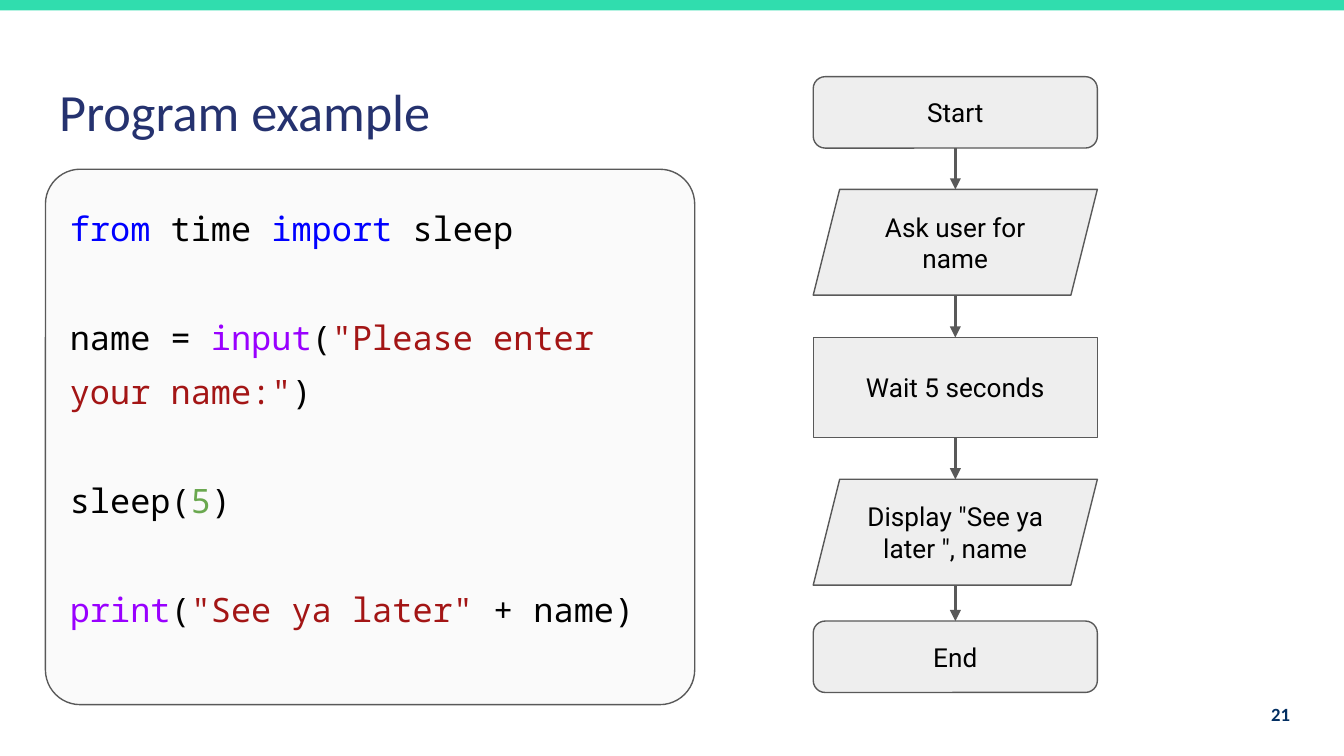
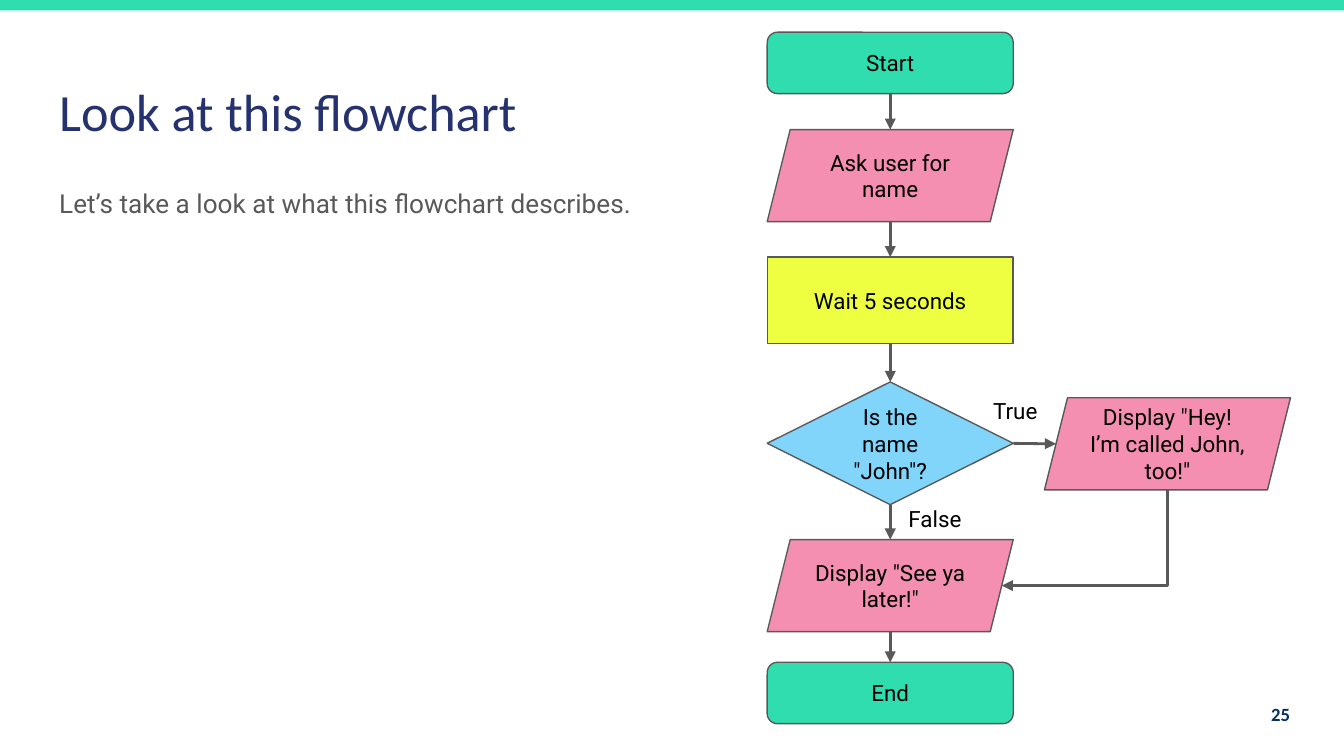
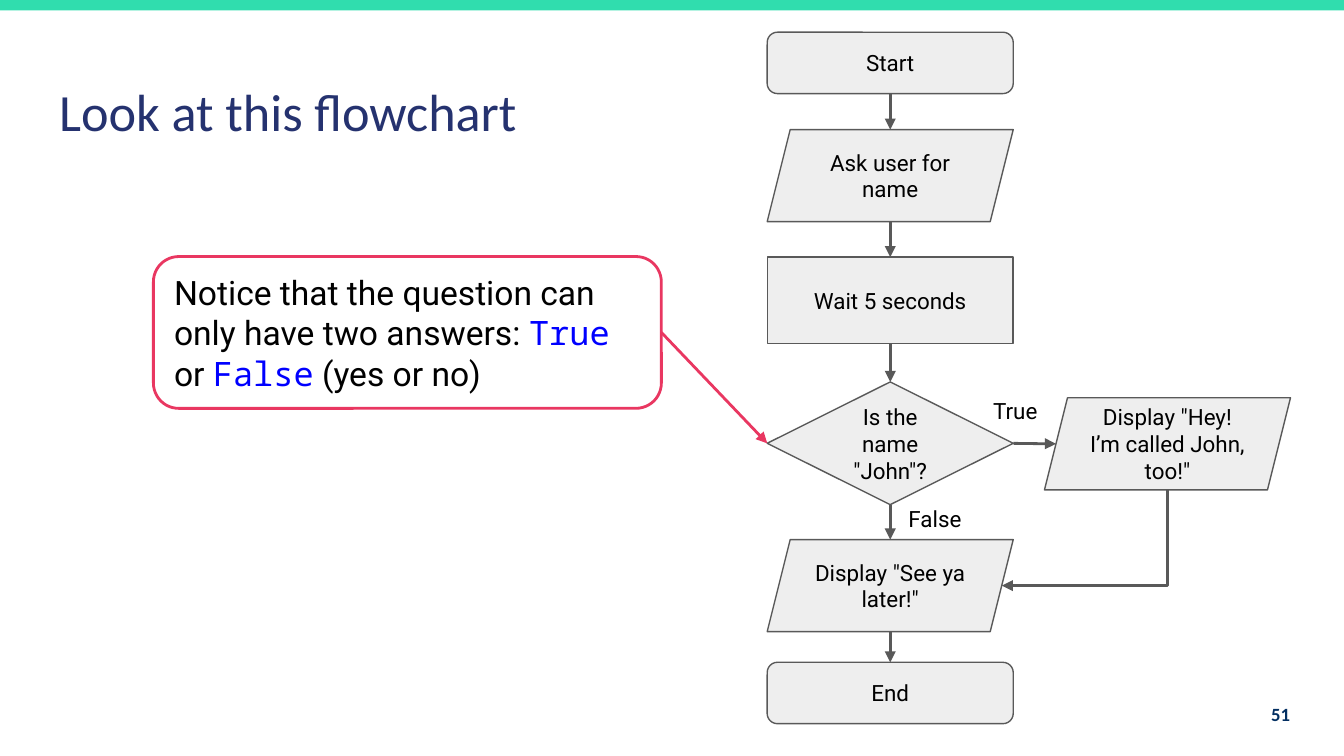
from dataclasses import dataclass
from typing import Optional

from pptx import Presentation
from pptx.dml.color import RGBColor
from pptx.enum.shapes import MSO_CONNECTOR as Connector, MSO_SHAPE as Preset
from pptx.enum.text import MSO_ANCHOR as Anchor, PP_ALIGN as Align
from pptx.oxml.ns import qn
from pptx.oxml.xmlchemy import OxmlElement
from pptx.util import Cm, Pt

COLORS = {
    "band": "30DDAE", "title": "25326F", "number": "032F62", "body": "595959",
    "outline": "595959", "black": "000000", "white": "FFFFFF", "grey": "EEEEEE",
    "panel": "FAFAFA", "pink": "F48FB1", "yellow": "EEFF41", "blue": "81D4FA",
    "callout": "E93761", "keyword": "0000FF", "function": "9900FF",
    "string": "A31515", "value": "6AA84F",
}
HEADING, TEXT, CODE = "Calibri", "Roboto", "Noto Sans Mono"
SLIDE_WIDTH, SLIDE_HEIGHT = 25.4, 14.29
SLANT = 0.25


@dataclass(frozen=True)
class Box:
    left: float
    top: float
    width: float
    height: float

    def lengths(self) -> tuple:
        return Cm(self.left), Cm(self.top), Cm(self.width), Cm(self.height)


@dataclass(frozen=True)
class Span:
    text: str
    color: str = "black"
    font: str = TEXT


@dataclass(frozen=True)
class Step:
    role: str
    text: str
    top: float
    left: Optional[float] = None


@dataclass(frozen=True)
class Flowchart:
    left: float
    width: float
    size: int
    heights: dict
    steps: tuple


PRESETS = {
    "terminal": Preset.ROUNDED_RECTANGLE, "data": Preset.PARALLELOGRAM,
    "process": Preset.RECTANGLE, "decision": Preset.DIAMOND,
}
BRIGHT = {"terminal": "band", "data": "pink", "process": "yellow", "decision": "blue"}
PLAIN = dict.fromkeys(PRESETS, "grey")

PROGRAM_CHART = Flowchart(
    15.37, 5.37, 14, {"terminal": 1.35, "data": 2.0, "process": 1.89},
    (Step("terminal", "Start", 1.45),
     Step("data", "Ask user for name", 3.58),
     Step("process", "Wait 5 seconds", 6.38),
     Step("data", 'Display "See ya later ", name', 9.06),
     Step("terminal", "End", 11.74)))

BRANCH_CHART = Flowchart(
    14.5, 4.65, 12, {"terminal": 1.16, "data": 1.74, "process": 1.63, "decision": 2.32},
    (Step("terminal", "Start", 0.61),
     Step("data", "Ask user for name", 2.45),
     Step("process", "Wait 5 seconds", 4.86),
     Step("decision", 'Is the name "John"?', 7.22),
     Step("data", 'Display "See ya later!"', 10.2),
     Step("terminal", "End", 12.52)))
TRUE_STEP = Step("data", 'Display "Hey! I’m called John, too!"', 7.52, 19.74)

CODE_LINES = (
    (Span("from", "keyword", CODE), Span(" time ", font=CODE),
     Span("import", "keyword", CODE), Span(" sleep", font=CODE)),
    (Span("name = ", font=CODE), Span("input", "function", CODE), Span("(", font=CODE),
     Span('"Please enter your name:"', "string", CODE), Span(")", font=CODE)),
    (Span("sleep(", font=CODE), Span("5", "value", CODE), Span(")", font=CODE)),
    (Span("print", "function", CODE), Span("(", font=CODE),
     Span('"See ya later"', "string", CODE), Span(" + name)", font=CODE)),
)


# Text and shapes
def rgb(name: str) -> RGBColor:
    return RGBColor.from_string(COLORS[name])


def write(paragraph, spans, size: int, bold: bool = False) -> None:
    for span in spans:
        run = paragraph.add_run()
        run.text = span.text
        run.font.name = span.font
        run.font.size = Pt(size)
        run.font.bold = bold
        run.font.color.rgb = rgb(span.color)


def prepare(text_frame, anchor=Anchor.TOP) -> None:
    text_frame.word_wrap = True
    text_frame.vertical_anchor = anchor
    for side in ("left", "top", "right", "bottom"):
        setattr(text_frame, f"margin_{side}", Cm(0.25))


def add_text(slide, box: Box, spans, size: int, bold=False, align=Align.LEFT,
             anchor=Anchor.TOP):
    text_frame = slide.shapes.add_textbox(*box.lengths()).text_frame
    prepare(text_frame, anchor)
    paragraph = text_frame.paragraphs[0]
    paragraph.alignment = align
    write(paragraph, spans, size, bold)
    return text_frame


def add_shape(slide, preset, box: Box, fill: str, line: Optional[str] = "outline",
              weight: float = 0.75, adjustment: Optional[float] = None):
    shape = slide.shapes.add_shape(preset, *box.lengths())
    shape.shadow.inherit = False
    shape.fill.solid()
    shape.fill.fore_color.rgb = rgb(fill)
    if line:
        shape.line.color.rgb = rgb(line)
        shape.line.width = Pt(weight)
    else:
        shape.line.fill.background()
    if adjustment is not None:
        shape.adjustments[0] = adjustment
    return shape


def fill_text(shape, spans, size: int, align) -> None:
    prepare(shape.text_frame, Anchor.MIDDLE)
    paragraph = shape.text_frame.paragraphs[0]
    paragraph.alignment = align
    write(paragraph, spans, size)


# Arrows
def add_arrow(slide, start: tuple, end: tuple, color="outline", kind=Connector.STRAIGHT):
    connector = slide.shapes.add_connector(kind, *map(int, start + end))
    connector.line.color.rgb = rgb(color)
    connector.line.width = Pt(1.5)
    properties = connector.element.spPr
    head = OxmlElement("a:tailEnd")
    head.set("type", "triangle")
    properties.find(qn("a:ln")).append(head)
    properties.append(OxmlElement("a:effectLst"))
    return connector


def is_slanted(shape) -> bool:
    return shape.auto_shape_type == Preset.PARALLELOGRAM


def side_point(shape, side: int) -> tuple:
    """Middle of a side: 0 top, 1 left, 2 bottom, 3 right."""
    inset = shape.height * SLANT / 2 if is_slanted(shape) else 0
    middle_x = shape.left + shape.width / 2
    middle_y = shape.top + shape.height / 2
    return ((middle_x, shape.top), (shape.left + inset, middle_y),
            (middle_x, shape.top + shape.height),
            (shape.left + shape.width - inset, middle_y))[side]


def join(slide, source, source_side: int, target, target_side: int, color="outline") -> None:
    connector = add_arrow(slide, side_point(source, source_side),
                          side_point(target, target_side), color)
    if not is_slanted(source):
        connector.begin_connect(source, source_side)
    if not is_slanted(target):
        connector.end_connect(target, target_side)


def join_down_left(slide, source, target) -> None:
    """One-bend arrow from the bottom of source to the right of target."""
    start, end = side_point(source, 2), side_point(target, 3)
    center_x, center_y = (start[0] + end[0]) / 2, (start[1] + end[1]) / 2
    half_run, half_drop = (start[0] - end[0]) / 2, (end[1] - start[1]) / 2
    connector = add_arrow(slide, (center_x - half_drop, center_y - half_run),
                          (center_x + half_drop, center_y + half_run), kind=Connector.ELBOW)
    properties = connector.element.spPr
    properties.find(qn("a:xfrm")).set("rot", "5400000")
    properties.find(qn("a:prstGeom")).set("prst", "bentConnector2")


# Flowcharts
def add_step(slide, chart: Flowchart, step: Step, palette: dict):
    left = chart.left if step.left is None else step.left
    box = Box(left, step.top, chart.width, chart.heights[step.role])
    adjustment = {"terminal": 0.167, "data": SLANT}.get(step.role)
    shape = add_shape(slide, PRESETS[step.role], box, palette[step.role],
                      adjustment=adjustment)
    fill_text(shape, [Span(step.text)], chart.size, Align.CENTER)
    return shape


def add_flowchart(slide, chart: Flowchart, palette: dict) -> list:
    shapes = [add_step(slide, chart, step, palette) for step in chart.steps]
    for upper, lower in zip(shapes, shapes[1:]):
        join(slide, upper, 2, lower, 0)
    return shapes


def add_branch_chart(slide, palette: dict):
    shapes = add_flowchart(slide, BRANCH_CHART, palette)
    decision, later = shapes[3:5]
    greeting = add_step(slide, BRANCH_CHART, TRUE_STEP, palette)
    join(slide, decision, 3, greeting, 1)
    join_down_left(slide, greeting, later)
    add_text(slide, Box(18.52, 7.26, 1.43, 0.91), [Span("True")], BRANCH_CHART.size)
    add_text(slide, Box(16.92, 9.3, 1.85, 0.91), [Span("False")], BRANCH_CHART.size)
    return decision


# Slides
def add_base(presentation, title: str, number: int):
    slide = presentation.slides.add_slide(presentation.slide_layouts[6])
    add_shape(slide, Preset.RECTANGLE, Box(0, 0, SLIDE_WIDTH, 0.2), "band", None)
    add_text(slide, Box(0.87, 1.24, 11.8, 1.6), [Span(title, "title", HEADING)], 28)
    add_text(slide, Box(23.11, 12.96, 1.52, 1.09), [Span(str(number), "number", HEADING)],
             10, True, Align.RIGHT, Anchor.MIDDLE)
    return slide


def add_program_slide(presentation) -> None:
    slide = add_base(presentation, "Program example", 21)
    add_flowchart(slide, PROGRAM_CHART, PLAIN)
    add_shape(slide, Preset.ROUNDED_RECTANGLE, Box(0.86, 3.2, 12.27, 10.12), "panel",
              adjustment=0.065)
    text_frame = add_text(slide, Box(1.07, 3.4, 12.06, 8.89), CODE_LINES[0], 18)
    for line in CODE_LINES[1:]:
        paragraph = text_frame.add_paragraph()
        paragraph.space_before = Pt(29)
        write(paragraph, line, 18)
    for paragraph in text_frame.paragraphs:
        paragraph.line_spacing = 1.36


def add_description_slide(presentation) -> None:
    slide = add_base(presentation, "Look at this flowchart", 25)
    body = add_text(slide, Box(0.87, 3.2, 12.57, 9.5),
                    [Span("Let’s take a look at what this flowchart describes.", "body")], 14)
    body.paragraphs[0].line_spacing = 1.15
    body.paragraphs[0].space_after = Pt(16)
    add_branch_chart(slide, BRIGHT)


def add_answers_slide(presentation) -> None:
    slide = add_base(presentation, "Look at this flowchart", 51)
    decision = add_branch_chart(slide, PLAIN)
    callout = add_shape(slide, Preset.ROUNDED_RECTANGLE, Box(2.9, 4.85, 9.6, 2.87), "white",
                        "callout", 1.5, 0.167)
    fill_text(callout, [Span("Notice that the question can only have two answers: "),
                        Span("True", "keyword", CODE), Span(" or "),
                        Span("False", "keyword", CODE), Span(" (yes or no)")],
              18, Align.LEFT)
    join(slide, callout, 3, decision, 1, "callout")


def main() -> None:
    presentation = Presentation()
    presentation.slide_width = Cm(SLIDE_WIDTH)
    presentation.slide_height = Cm(SLIDE_HEIGHT)
    add_program_slide(presentation)
    add_description_slide(presentation)
    add_answers_slide(presentation)
    presentation.save("out.pptx")


if __name__ == "__main__":
    main()
